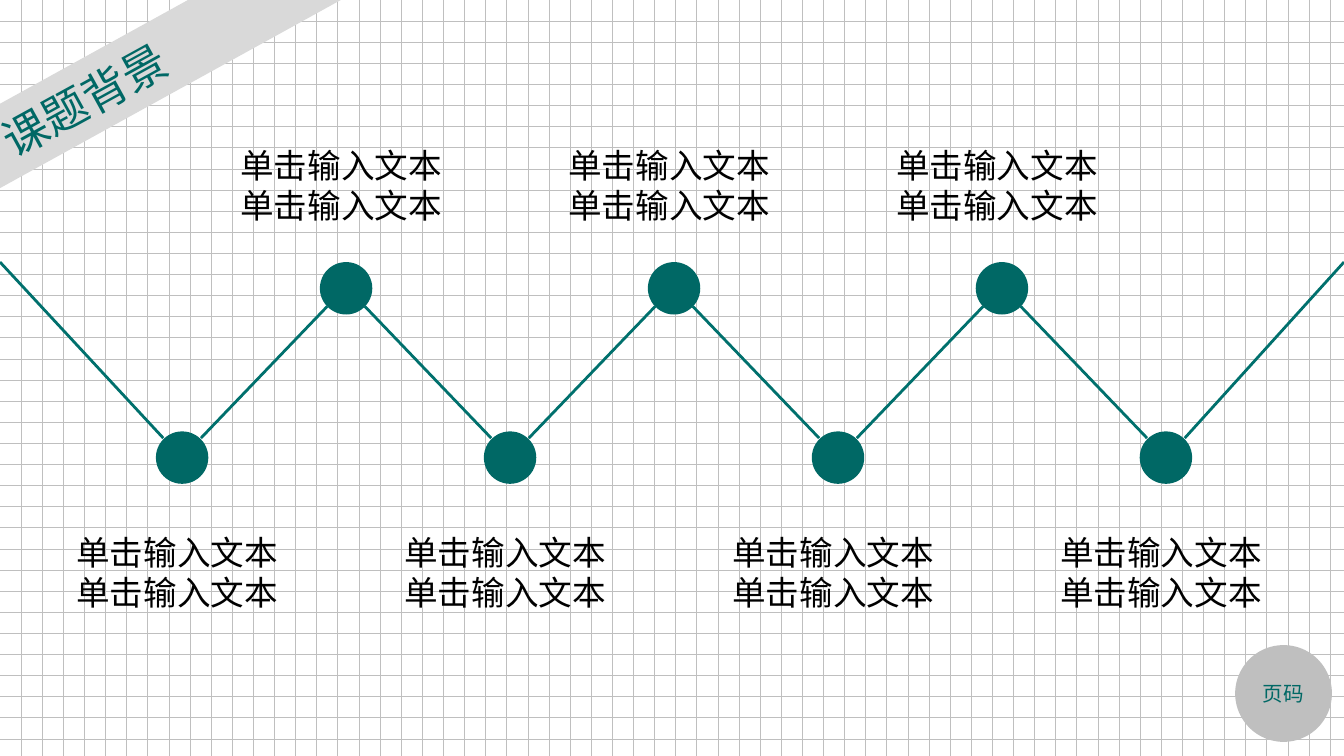
from lxml.etree import SubElement
from pptx import Presentation
from pptx.dml.color import RGBColor
from pptx.enum.dml import MSO_PATTERN
from pptx.enum.shapes import MSO_CONNECTOR, MSO_SHAPE
from pptx.enum.text import MSO_ANCHOR, MSO_AUTO_SIZE, PP_ALIGN
from pptx.oxml.ns import qn
from pptx.util import Inches, Pt

FONT = "Noto Sans CJK SC"
COLORS = {
    "teal": "006865",
    "line": "00706D",
    "ribbon": "D9D9D9",
    "grey": "BFBFBF",
    "white": "FFFFFF",
    "black": "000000",
}
NODE_COUNT = 7
NODE_SIZE = 0.39
NODE_LEFT = 1.16
NODE_STEP = 1.22
HIGH_TOP, LOW_TOP = 1.95, 3.21
HIGH_JOIN, LOW_JOIN = 2.28, 3.26
JOIN_DX = 0.14


def rgb(name):
    """Return the named palette colour."""
    return RGBColor.from_string(COLORS[name])


def set_background(s):
    """Fill the slide background with a grid pattern."""
    fill = s.background.fill
    fill.patterned()
    fill.pattern = MSO_PATTERN.DOTTED_GRID
    fill.fore_color.rgb = rgb("grey")
    fill.back_color.rgb = rgb("white")


def add_run(p, text, size, color):
    """Append a styled run to a paragraph."""
    r = p.add_run()
    r.text = text
    r.font.size = Pt(size)
    r.font.color.rgb = rgb(color)
    r.font.name = FONT
    SubElement(r.font._element, qn("a:ea")).set("typeface", FONT)


def add_solid(s, kind, left, top, width, height, color):
    """Add a flat preset shape without outline."""
    sp = s.shapes.add_shape(
        kind, Inches(left), Inches(top), Inches(width), Inches(height))
    sp.shadow.inherit = False
    sp.fill.solid()
    sp.fill.fore_color.rgb = rgb(color)
    sp.line.fill.background()
    return sp


def add_label(sp, text, size, align):
    """Write one vertically centred line of text in a shape."""
    tf = sp.text_frame
    tf.vertical_anchor = MSO_ANCHOR.MIDDLE
    p = tf.paragraphs[0]
    p.alignment = align
    add_run(p, text, size, "teal")


def add_ribbon(s):
    """Add the slanted title ribbon."""
    sp = add_solid(s, MSO_SHAPE.RECTANGLE, -0.95, 0.19, 4.15, 0.55, "ribbon")
    sp.rotation = 331.1
    add_label(sp, "课题背景", 24, PP_ALIGN.LEFT)
    sp.text_frame.margin_left = Inches(0.84)


def add_page_badge(s):
    """Add the round page number badge."""
    sp = add_solid(s, MSO_SHAPE.OVAL, 9.19, 4.8, 0.72, 0.72, "grey")
    add_label(sp, "页码", 11, PP_ALIGN.CENTER)


def add_caption(s, left, top):
    """Add the wrapped caption of a node."""
    sp = s.shapes.add_textbox(
        Inches(left), Inches(top), Inches(1.77), Inches(0.71))
    tf = sp.text_frame
    tf.word_wrap = True
    tf.auto_size = MSO_AUTO_SIZE.SHAPE_TO_FIT_TEXT
    add_run(tf.paragraphs[0], "单击输入文本" * 2, 18, "black")


def add_link(s, start, end):
    """Draw a straight line between two points."""
    sp = s.shapes.add_connector(
        MSO_CONNECTOR.STRAIGHT, *(Inches(v) for v in start + end))
    sp.line.color.rgb = rgb("line")
    sp.line.width = Pt(1.5)
    SubElement(sp._element.spPr, qn("a:effectLst"))


def add_zigzag(s):
    """Add alternating nodes with captions and the lines joining them."""
    start = (0, HIGH_TOP)
    for i in range(NODE_COUNT):
        left = NODE_LEFT + i * NODE_STEP
        center = left + NODE_SIZE / 2
        low = i % 2 == 0
        top = LOW_TOP if low else HIGH_TOP
        join = LOW_JOIN if low else HIGH_JOIN
        add_solid(s, MSO_SHAPE.OVAL, left, top, NODE_SIZE, NODE_SIZE, "teal")
        add_caption(s, left - 0.69, 3.91 if low else 1.03)
        add_link(s, start, (center - JOIN_DX, join))
        start = (center + JOIN_DX, join)
    add_link(s, start, (10, HIGH_TOP))


def main():
    """Build and save the slide."""
    prs = Presentation()
    prs.slide_width = Inches(10)
    prs.slide_height = Inches(10 * 9 / 16)
    s = prs.slides.add_slide(prs.slide_layouts[6])
    set_background(s)
    add_ribbon(s)
    add_page_badge(s)
    add_zigzag(s)
    prs.save("out.pptx")


if __name__ == "__main__":
    main()
